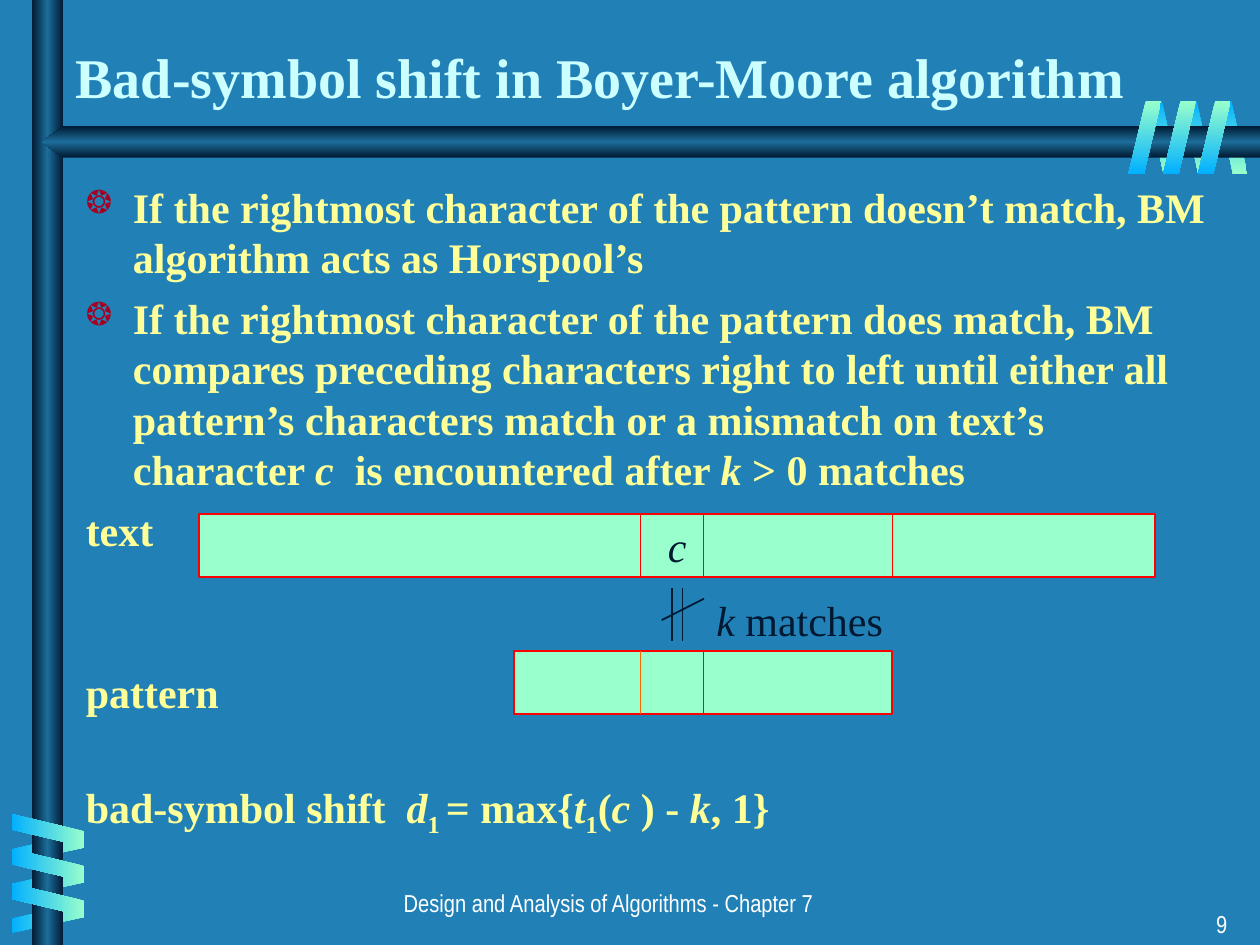
from dataclasses import dataclass

from lxml.etree import SubElement
from pptx import Presentation
from pptx.dml.color import RGBColor
from pptx.enum.shapes import MSO_CONNECTOR, MSO_SHAPE
from pptx.enum.text import MSO_ANCHOR, PP_ALIGN
from pptx.oxml.ns import qn
from pptx.util import Cm, Pt


@dataclass(frozen=True)
class Theme:
    background: str = "2181B7"
    title: str = "CCFFFF"
    body: str = "FFFF99"
    bullet: str = "A50021"
    dark: str = "001932"
    bar: str = "1C6D9A"
    mint: str = "99FFCC"
    azure: str = "01B0FF"
    red: str = "FF0000"
    orange: str = "FF6600"
    white: str = "FFFFFF"
    serif: str = "Times New Roman"
    narrow: str = "Arial Narrow"
    title_size: int = 32
    body_size: int = 24
    body_line: float = 28.8
    footer_size: int = 14


THEME = Theme()


def rgb(color):
    return RGBColor.from_string(color)


def fill_gradient(shape, colors, angle):
    """Spread the colours evenly; the angle runs clockwise and ignores rotation."""
    shape.shadow.inherit = False
    shape.line.fill.background()
    shape.fill.gradient()
    gradient = shape._element.spPr.find(qn("a:gradFill"))
    gradient.set("rotWithShape", "0")
    gradient.find(qn("a:lin")).set("ang", str(angle * 60000))
    stops = gradient.find(qn("a:gsLst"))
    for stop in list(stops):
        stops.remove(stop)
    for index, color in enumerate(colors):
        position = 100000 * index // (len(colors) - 1)
        stop = SubElement(stops, qn("a:gs"), pos=str(position))
        SubElement(stop, qn("a:srgbClr"), val=color)


def add_run(paragraph, text, color, size, font=THEME.serif, bold=False,
            italic=False, subscript=False):
    run = paragraph.add_run()
    run.text = text
    run.font.name = font
    run.font.size = Pt(size)
    run.font.bold = bold
    run.font.italic = italic
    run.font.color.rgb = rgb(color)
    if subscript:
        run.font._element.set("baseline", "-25000")


def add_text_frame(slide, left, top, width, height):
    frame = slide.shapes.add_textbox(Cm(left), Cm(top), Cm(width), Cm(height)).text_frame
    frame.word_wrap = True
    return frame


def add_line(slide, start_x, start_y, end_x, end_y, color):
    line = slide.shapes.add_connector(
        MSO_CONNECTOR.STRAIGHT, Cm(start_x), Cm(start_y), Cm(end_x), Cm(end_y))
    line.line.color.rgb = rgb(color)
    line.line.width = Pt(1)
    SubElement(line._element.spPr, qn("a:effectLst"))


def add_coil_strips(slide, center_x, center_y, vertical, front):
    """Three slanted strips, the first one centred on the given point."""
    width, height, pitch = (0.66 if front else 0.61), 1.47, 0.7
    for index in range(3):
        offset = index * pitch + (0 if front else 0.36)
        x = center_x + (0 if vertical else offset)
        y = center_y + (offset if vertical else 0)
        strip = slide.shapes.add_shape(
            MSO_SHAPE.PARALLELOGRAM, Cm(x - width / 2), Cm(y - height / 2),
            Cm(width), Cm(height))
        strip.adjustments[0] = 0.53
        if front:
            strip.rotation = 270 if vertical else 0
            colors = (THEME.mint, THEME.azure)
        else:
            strip.rotation = 90 if vertical else 180
            strip._element.spPr.xfrm.set("flipH", "1")
            colors = (THEME.azure, THEME.mint)
        fill_gradient(strip, colors, 180 if vertical else 90)


def add_bars(slide):
    thickness, bar_top, tip, shoulder, right = 0.64, 2.54, 0.84, 1.27, 25.4
    colors = (THEME.dark, THEME.bar, THEME.dark)
    upright = slide.shapes.add_shape(
        MSO_SHAPE.RECTANGLE, Cm(0.64), 0, Cm(thickness), Cm(19.05))
    fill_gradient(upright, colors, 180)
    bottom = bar_top + thickness
    builder = slide.shapes.build_freeform(Cm(right), Cm(bar_top))
    builder.add_line_segments([
        (Cm(shoulder), Cm(bar_top)), (Cm(tip), Cm(bar_top + thickness / 2)),
        (Cm(shoulder), Cm(bottom)), (Cm(right), Cm(bottom))])
    fill_gradient(builder.convert_to_shape(), colors, 90)


def add_decoration(slide):
    coils = ((23.08, 2.77, False), (0.97, 16.74, True))
    for coil in coils:
        add_coil_strips(slide, *coil, front=False)
    add_bars(slide)
    for coil in coils:
        add_coil_strips(slide, *coil, front=True)


def place_title(slide, left, top, width, height):
    title = slide.shapes.title
    title.left, title.top, title.width, title.height = map(Cm, (left, top, width, height))
    title.text_frame.vertical_anchor = MSO_ANCHOR.BOTTOM
    paragraph = title.text_frame.paragraphs[0]
    paragraph.alignment = PP_ALIGN.LEFT
    add_run(paragraph, "Bad-symbol shift in Boyer-Moore algorithm",
            THEME.title, THEME.title_size, bold=True)


def add_bullet(paragraph):
    properties = paragraph._element.get_or_add_pPr()
    properties.set("marL", str(Cm(0.95)))
    properties.set("indent", str(-Cm(0.95)))
    color = SubElement(properties, qn("a:buClr"))
    SubElement(color, qn("a:srgbClr"), val=THEME.bullet)
    SubElement(properties, qn("a:buSzPct"), val="75000")
    SubElement(properties, qn("a:buChar"), char="❂")


def add_body(slide, left, top, width, height):
    frame = add_text_frame(slide, left, top, width, height)
    italic, subscript = {"italic": True}, {"subscript": True}
    gap, line = 6, THEME.body_line
    # Each entry: bulleted, space before in points, runs
    entries = (
        (True, 0, [("If the rightmost character of the pattern doesn’t match, BM "
                    "algorithm acts as Horspool’s", {})]),
        (True, gap, [("If the rightmost character of the pattern does match, BM compares "
                      "preceding characters right to left until either all pattern’s "
                      "characters match or a mismatch on text’s character ", {}),
                     ("c ", italic), (" is encountered after ", {}),
                     ("k ", italic), ("> 0 matches", {})]),
        (False, gap, [("text", {})]),
        (False, gap + 2 * line, [("pattern", {})]),
        (False, 2 * gap + line, [
            ("bad-symbol shift  ", {}), ("d", italic), ("1 ", subscript),
            ("= max{", {}), ("t", italic), ("1", subscript), ("(", {}),
            ("c ", italic), (") - ", {}), ("k", italic), (", 1}", {})]),
    )
    for index, (bulleted, space, runs) in enumerate(entries):
        paragraph = frame.paragraphs[0] if index == 0 else frame.add_paragraph()
        paragraph.space_before = Pt(space)
        paragraph.line_spacing = Pt(line)
        if bulleted:
            add_bullet(paragraph)
        for text, style in runs:
            add_run(paragraph, text, THEME.body, THEME.body_size, bold=True, **style)


def add_strip(slide, left, top, width, height, dividers):
    """A string drawn as a bar; dividers are (offset, colour) pairs."""
    strip = slide.shapes.add_shape(
        MSO_SHAPE.RECTANGLE, Cm(left), Cm(top), Cm(width), Cm(height))
    strip.shadow.inherit = False
    strip.fill.solid()
    strip.fill.fore_color.rgb = rgb(THEME.mint)
    strip.line.color.rgb = rgb(THEME.red)
    strip.line.width = Pt(1)
    for offset, color in dividers:
        add_line(slide, left + offset, top, left + offset, top + height, color)
    return strip


def add_matching_diagram(slide, left, top):
    height = 1.27
    text_strip = add_strip(slide, left, top, 19.26, height,
                           [(offset, THEME.red) for offset in (8.89, 10.16, 13.97)])
    text_strip.text_frame.word_wrap = False
    text_strip.text_frame.vertical_anchor = MSO_ANCHOR.MIDDLE
    paragraph = text_strip.text_frame.paragraphs[0]
    paragraph.alignment = PP_ALIGN.CENTER
    add_run(paragraph, "c", THEME.dark, THEME.body_size, italic=True)
    add_strip(slide, left + 6.35, top + 2.75, 7.62, height,
              [(3.81, THEME.red), (2.54, THEME.orange)])


def add_mismatch_label(slide, left, top):
    """A crossed-out equals sign on its side, with the match count beside it."""
    for offset in (0.21, 0.42):
        add_line(slide, left + offset, top, left + offset, top + 1.06, THEME.dark)
    add_line(slide, left, top + 0.64, left + 0.85, top + 0.21, THEME.dark)
    paragraph = add_text_frame(slide, left + 0.85, top, 4.02, 1.27).paragraphs[0]
    add_run(paragraph, "k ", THEME.dark, THEME.body_size, italic=True)
    add_run(paragraph, "matches", THEME.dark, THEME.body_size)


def add_footer(slide, text, alignment, left, top, width, height):
    paragraph = add_text_frame(slide, left, top, width, height).paragraphs[0]
    paragraph.alignment = alignment
    add_run(paragraph, text, THEME.white, THEME.footer_size, THEME.narrow)


def main():
    presentation = Presentation()
    presentation.slide_width, presentation.slide_height = Cm(25.4), Cm(19.05)
    slide = presentation.slides.add_slide(presentation.slide_layouts[5])
    slide.background.fill.solid()
    slide.background.fill.fore_color.rgb = rgb(THEME.background)
    add_decoration(slide)
    place_title(slide, 1.27, 0.43, 24.13, 1.9)
    add_body(slide, 1.48, 3.53, 23.29, 13.61)
    add_matching_diagram(slide, 4.02, 10.37)
    add_mismatch_label(slide, 13.34, 11.86)
    add_footer(slide, "Design and Analysis of Algorithms - Chapter 7",
               PP_ALIGN.CENTER, 3.38, 17.78, 17.78, 0.84)
    add_footer(slide, "9", PP_ALIGN.RIGHT, 19.71, 18.21, 5.28, 0.84)
    presentation.save("out.pptx")


if __name__ == "__main__":
    main()
